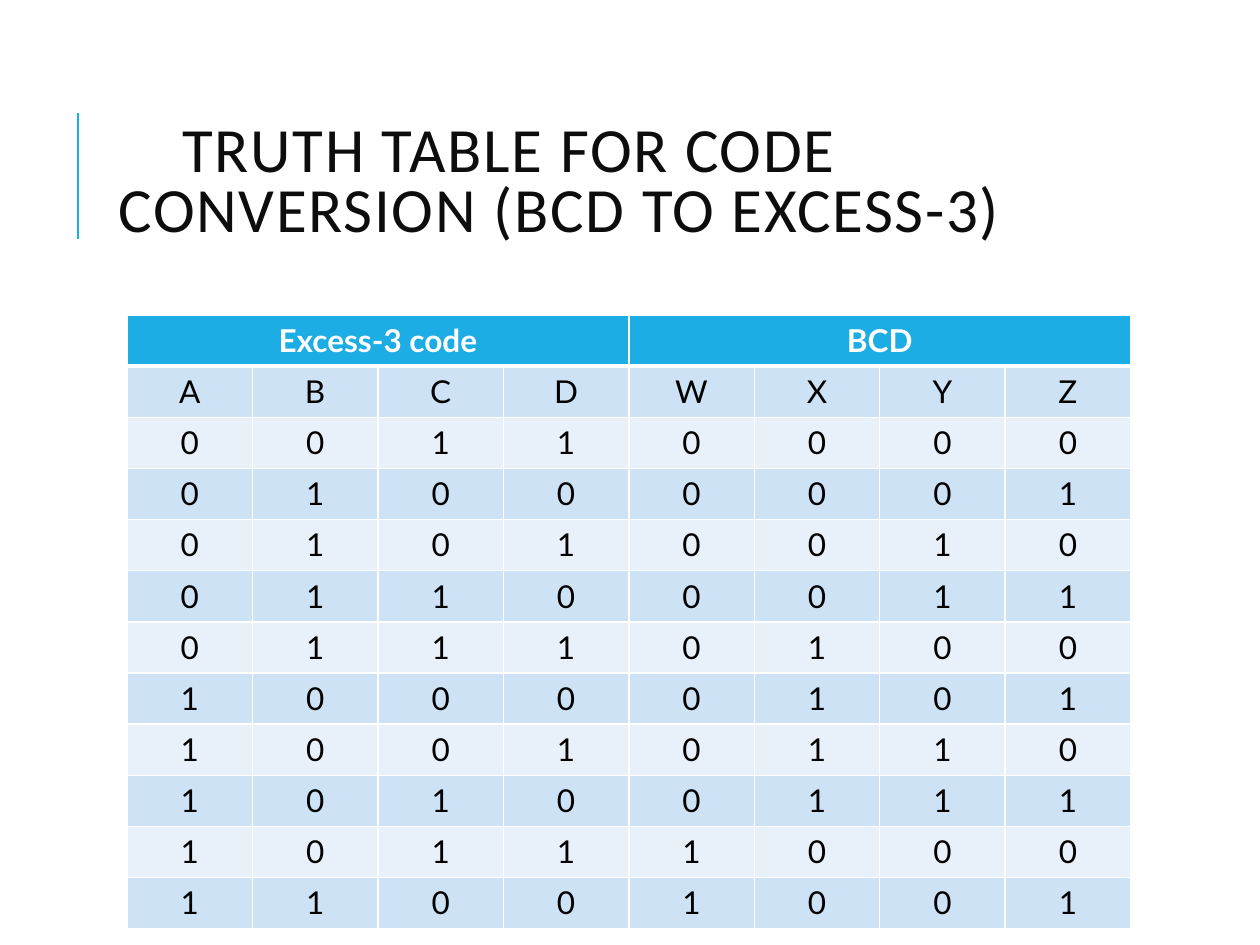
from lxml.etree import SubElement
from pptx import Presentation
from pptx.dml.color import RGBColor
from pptx.enum.shapes import MSO_CONNECTOR
from pptx.enum.text import MSO_ANCHOR, PP_ALIGN
from pptx.oxml import parse_xml
from pptx.oxml.ns import nsdecls, qn
from pptx.util import Emu, Pt

SCALE = 914400 // 126


def px(n):
    return Emu(n * SCALE)


def color(code):
    return RGBColor.from_string(code)


def write(frame, text, font="Lato", size=18, ink="000000", bold=False,
          align=PP_ALIGN.LEFT, line=None, indent=0, track=0):
    para = frame.paragraphs[0]
    para.alignment = align
    para.line_spacing = line
    if indent:
        para._p.get_or_add_pPr().set("indent", str(px(indent)))
    run = para.add_run()
    run.text = text
    run.font.name = font
    run.font.size = Pt(size)
    run.font.bold = bold
    run.font.color.rgb = color(ink)
    if track:
        run._r.get_or_add_rPr().set("spc", str(track * 100))


class Deck:
    accent = "1CADE4"
    bands = ("CDE3F5", "E8F1FA")
    white = "FFFFFF"

    def __init__(self, wide, high):
        self.file = Presentation()
        self.file.slide_width = px(wide)
        self.file.slide_height = px(high)
        self.slide = self.file.slides.add_slide(self.file.slide_layouts[6])

    def rule(self, x1, y1, x2, y2, width):
        line = self.slide.shapes.add_connector(
            MSO_CONNECTOR.STRAIGHT, px(x1), px(y1), px(x2), px(y2))
        line.line.color.rgb = color(self.accent)
        line.line.width = Pt(width)
        SubElement(line._element.spPr, qn("a:effectLst"))

    def title(self, x, y, w, h, text, **style):
        box = self.slide.shapes.add_textbox(px(x), px(y), px(w), px(h))
        frame = box.text_frame
        frame.word_wrap = True
        frame.vertical_anchor = MSO_ANCHOR.MIDDLE
        write(frame, text, **style)

    def edge(self, cell, **widths):
        props = cell._tc.get_or_add_tcPr()
        for spot, side in enumerate("LRTB"):
            width = Pt(widths.get(side, 1))
            props.insert(spot, parse_xml(
                f'<a:ln{side} {nsdecls("a")} w="{width}"><a:solidFill>'
                f'<a:srgbClr val="{self.white}"/></a:solidFill></a:ln{side}>'))

    def table(self, x, y, w, h, heads, rows):
        cols = len(rows[0])
        grid = self.slide.shapes.add_table(
            len(rows) + 1, cols, px(x), px(y), px(w), px(h)).table
        grid.first_row = True
        grid.horz_banding = False
        span = cols // len(heads)
        for col in range(cols):
            cell = grid.cell(0, col)
            cell.fill.solid()
            cell.fill.fore_color.rgb = color(self.accent)
            self.edge(cell, B=3)
        for spot, head in enumerate(heads):
            cell = grid.cell(0, spot * span)
            cell.merge(grid.cell(0, spot * span + span - 1))
            write(cell.text_frame, head, ink=self.white, bold=True,
                  align=PP_ALIGN.CENTER)
        for row, items in enumerate(rows, 1):
            for col, item in enumerate(items):
                cell = grid.cell(row, col)
                cell.fill.solid()
                cell.fill.fore_color.rgb = color(self.bands[(row - 1) % 2])
                self.edge(cell, T=3 if row == 1 else 1)
                write(cell.text_frame, item, align=PP_ALIGN.CENTER)


deck = Deck(1260, 945)
deck.rule(78, 239, 78, 113, 1.5)
deck.title(106, 81, 1004, 207,
           "TRUTH TABLE FOR CODE CONVERSION (BCD TO EXCESS-3)",
           font="Calibri", size=36, ink="0D0D0D", line=0.8, indent=64, track=1)
codes = [f"{n + 3:04b}{n:04b}" for n in range(10)]
deck.table(127, 315, 1004, 614, ["Excess-3 code", "BCD"], ["ABCDWXYZ"] + codes)
deck.file.save("out.pptx")
